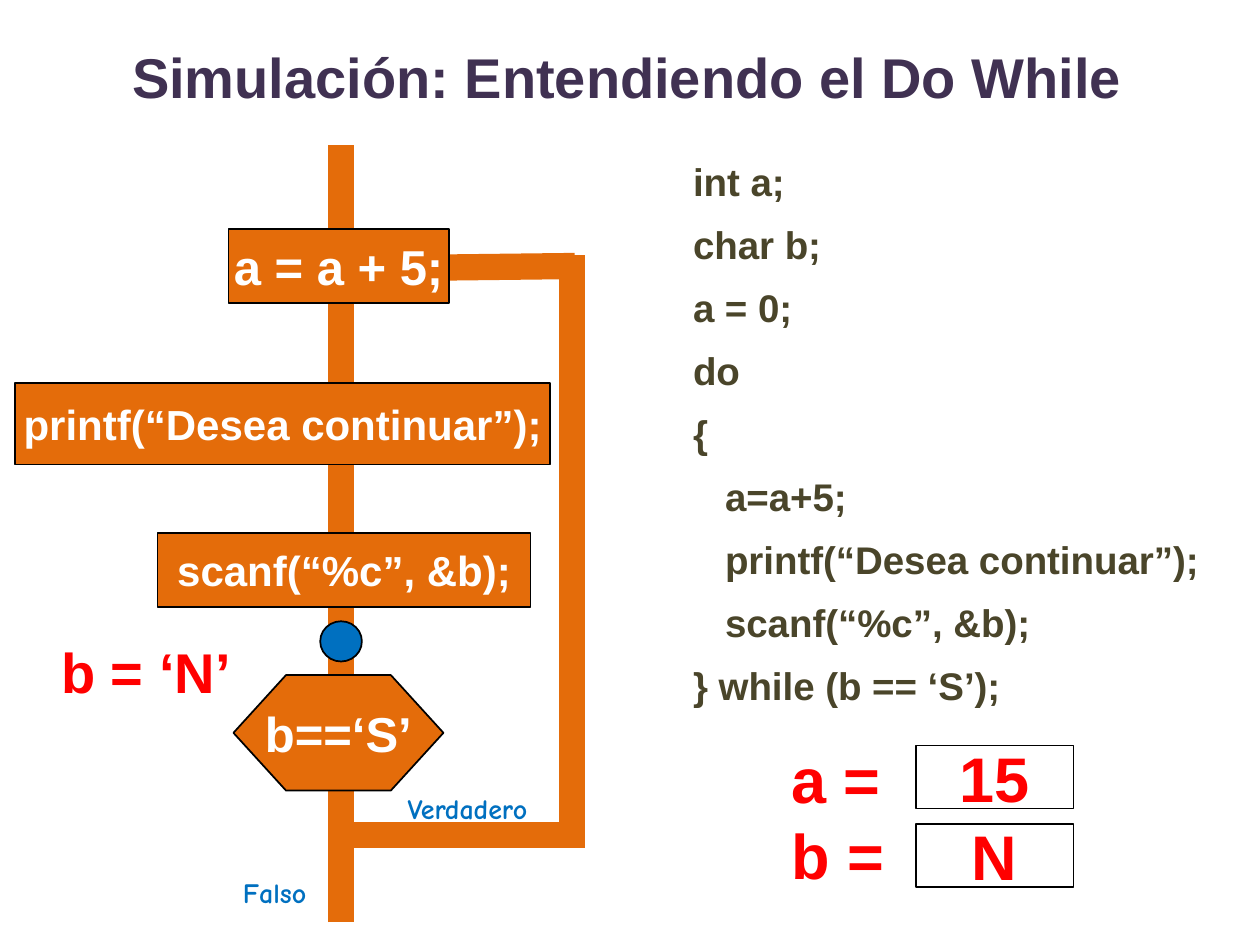
from lxml import etree
from pptx import Presentation
from pptx.dml.color import RGBColor
from pptx.enum.shapes import MSO_CONNECTOR, MSO_SHAPE
from pptx.enum.text import MSO_ANCHOR, MSO_AUTO_SIZE, PP_ALIGN
from pptx.oxml.ns import qn
from pptx.util import Pt

RECTANGLE = MSO_SHAPE.RECTANGLE
HEXAGON = MSO_SHAPE.HEXAGON
OVAL = MSO_SHAPE.OVAL
STRAIGHT = MSO_CONNECTOR.STRAIGHT
MIDDLE = MSO_ANCHOR.MIDDLE
TOP = MSO_ANCHOR.TOP
LEFT = PP_ALIGN.LEFT
CENTER = PP_ALIGN.CENTER
NO_AUTOFIT = MSO_AUTO_SIZE.NONE

COLORS = {
    "flow": "E46C0A",
    "blue": "0070C0",
    "value": "FF0000",
    "title": "403152",
    "code": "4A452A",
    "white": "FFFFFF",
    "outline": "000000",
}
CODE_LINES = [
    ("int a;", 0),
    ("char b;", 0),
    ("a = 0;", 0),
    ("do", 0),
    ("{", 0),
    ("a=a+5;", 1),
    ("printf(“Desea continuar”);", 1),
    ("scanf(“%c”, &b);", 1),
    ("} while (b == ‘S’);", 0),
]
CODE_INDENT = 18.3


def color(name):
    return RGBColor.from_string(COLORS[name])


def place(shape, left, top, width, height):
    shape.left, shape.top = Pt(left), Pt(top)
    shape.width, shape.height = Pt(width), Pt(height)


def write(shape, text, size, color_name, align=CENTER, anchor=MIDDLE, wrap=False, font="Arial"):
    frame = shape.text_frame
    frame.text = text
    frame.word_wrap = wrap
    frame.auto_size = NO_AUTOFIT
    frame.vertical_anchor = anchor
    for para in frame.paragraphs:
        para.alignment = align
        for span in para.runs:
            span.font.name = font
            span.font.size = Pt(size)
            span.font.bold = True
            span.font.color.rgb = color(color_name)


def add_title(page, text):
    title = page.shapes.title
    place(title, 42.5, -1.5, 632, 90)
    write(title, text, 32, "title", wrap=True)


def add_code(page):
    body = page.placeholders[1]
    place(body, 388.8, 77, 317.5, 334)
    write(body, "\n".join(line for line, level in CODE_LINES), 22, "code", LEFT, TOP, True)
    for para, (line, level) in zip(body.text_frame.paragraphs, CODE_LINES):
        para.line_spacing = Pt(36)
        para.space_before = Pt(0)
        properties = para._p.get_or_add_pPr()
        properties.set("marL", str(Pt(CODE_INDENT * level)))
        properties.set("indent", "0")
        etree.SubElement(properties, qn("a:buNone"))


def add_flow_line(page, start_x, start_y, end_x, end_y):
    line = page.shapes.add_connector(STRAIGHT, Pt(start_x), Pt(start_y), Pt(end_x), Pt(end_y))
    line.line.color.rgb = color("flow")
    line.line.width = Pt(15)
    etree.SubElement(line._element.spPr, qn("a:effectLst"))


def add_node(page, kind, bounds, fill=None):
    node = page.shapes.add_shape(kind, *map(Pt, bounds))
    node.shadow.inherit = False
    if fill:
        node.fill.solid()
        node.fill.fore_color.rgb = color(fill)
    else:
        node.fill.background()
    node.line.color.rgb = color("outline")
    node.line.width = Pt(1)
    return node


def add_step(page, kind, bounds, text, size):
    step = add_node(page, kind, bounds, "flow")
    write(step, text, size, "white")
    return step


def add_label(page, bounds, text, size, color_name, align=CENTER, font="Arial"):
    box = page.shapes.add_textbox(*map(Pt, bounds))
    write(box, text, size, color_name, align, TOP, font=font)


def main():
    deck = Presentation()
    deck.slide_width, deck.slide_height = Pt(720), Pt(540)
    page = deck.slides.add_slide(deck.slide_layouts[1])
    add_title(page, "Simulación: Entendiendo el Do While")
    add_code(page)

    add_flow_line(page, 195, 527, 195, 83)
    add_flow_line(page, 202.5, 477.3, 330, 477.3)
    add_flow_line(page, 328.5, 152, 160, 154)
    add_flow_line(page, 327, 484.5, 327, 146)

    add_step(page, RECTANGLE, (130.5, 131, 126, 42), "a = a + 5;", 28)
    add_step(page, RECTANGLE, (8.5, 219, 306, 46.5), "printf(“Desea continuar”);", 24)
    add_step(page, RECTANGLE, (90, 304.8, 213.2, 42), "scanf(“%c”, &b);", 24)
    condition = add_step(page, HEXAGON, (133.4, 385.8, 120, 66), "b==‘S’", 28)
    condition.adjustments[0] = 0.455
    add_node(page, OVAL, (183, 355, 23.8, 23), "blue")

    add_label(page, (130.3, 496.8, 53.3, 26.6), "Falso", 16, "blue", font="Comic Neue")
    add_label(page, (219.6, 448.6, 95, 26.6), "Verdadero", 16, "blue", font="Comic Neue")
    add_label(page, (27.4, 360.7, 112.3, 46), "b = ‘N’", 32, "value")
    add_label(page, (445, 419.8, 82.8, 94.3), "a =\nb =", 36, "value", LEFT)

    for row, value in enumerate(["15", "N"]):
        cell = add_node(page, RECTANGLE, (523.4, 426 + 45 * row, 90, 36))
        write(cell, value, 36, "value")

    deck.save("out.pptx")


if __name__ == "__main__":
    main()
